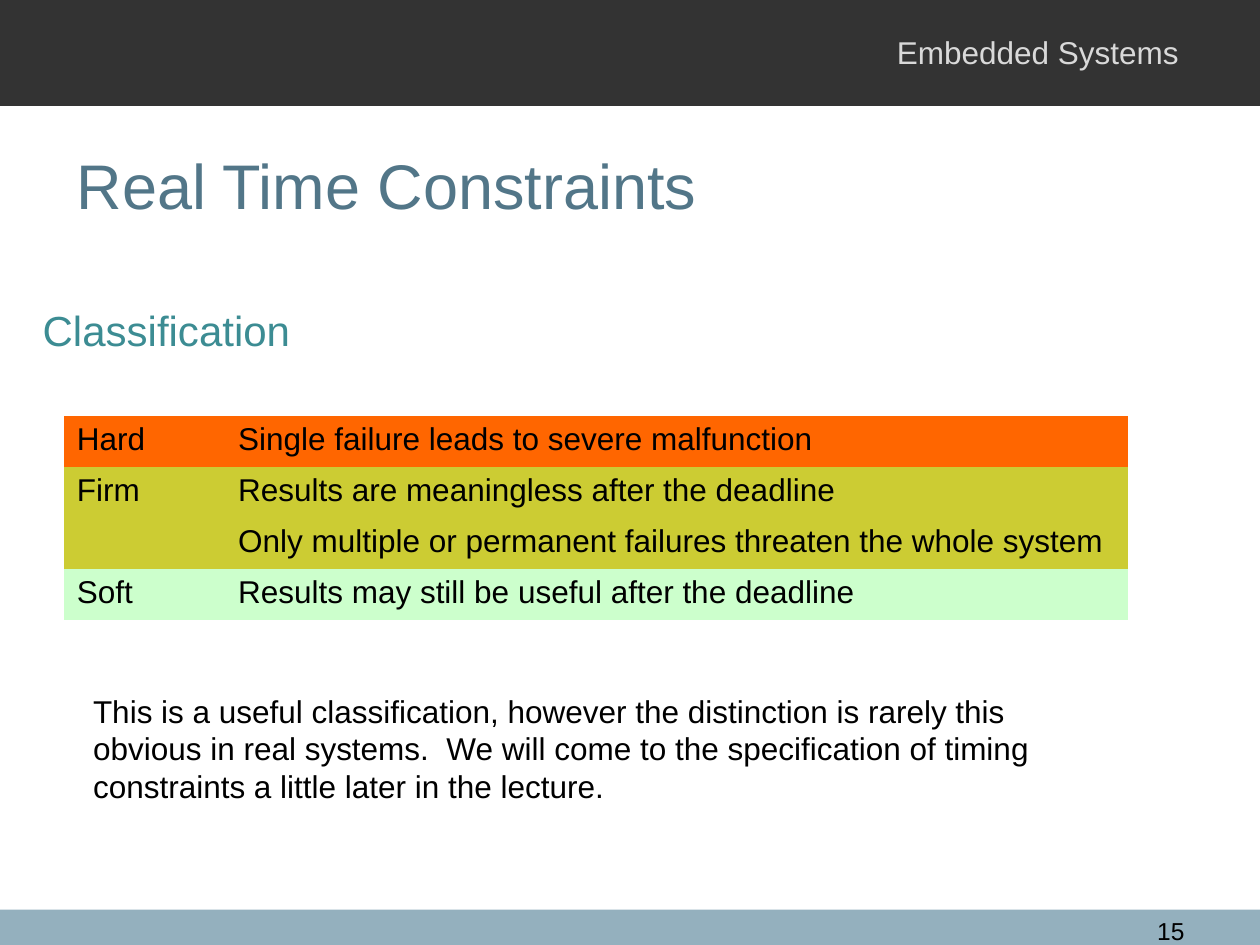
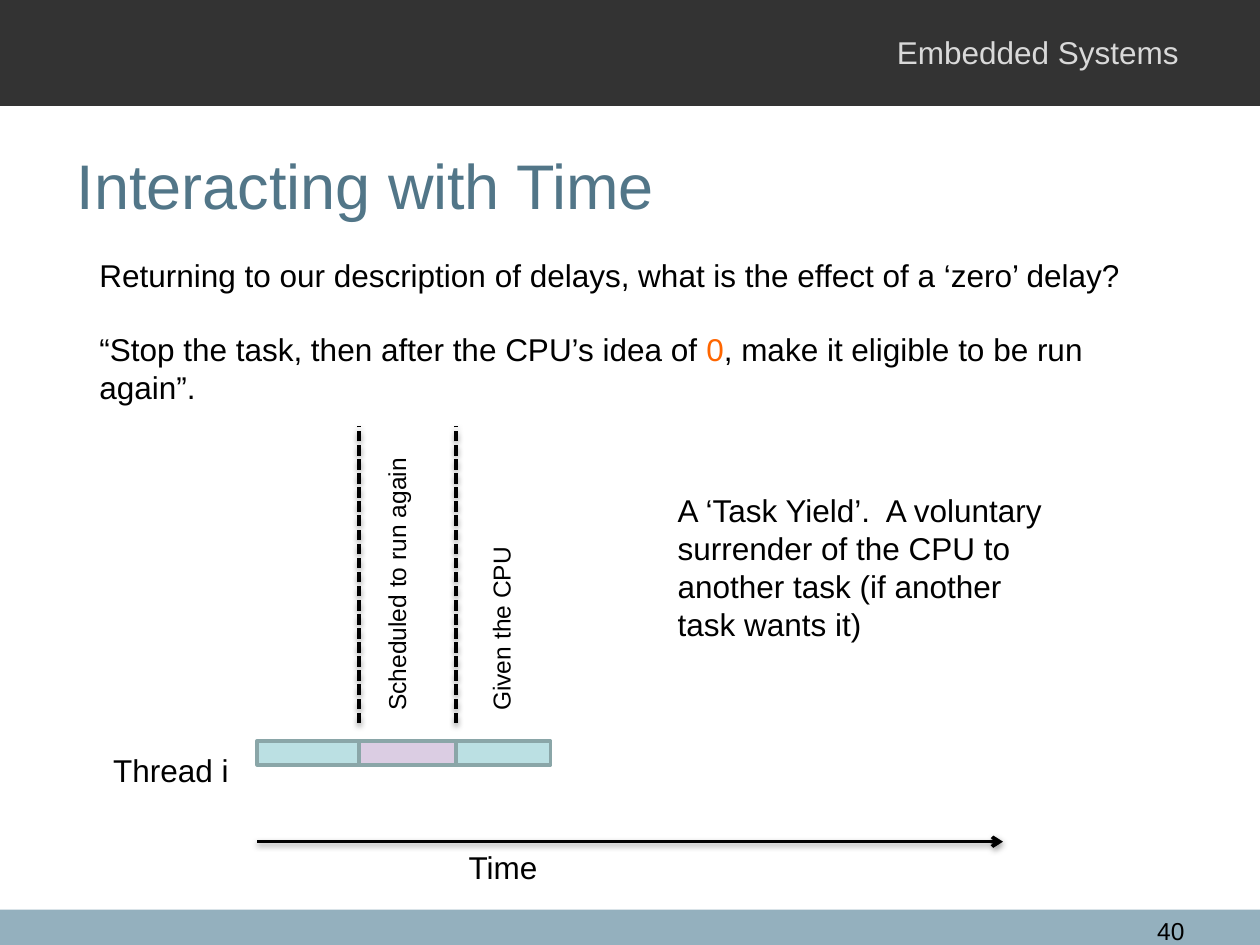
from dataclasses import dataclass

from lxml.etree import SubElement
from pptx import Presentation
from pptx.dml.color import RGBColor
from pptx.enum.dml import MSO_LINE
from pptx.enum.shapes import MSO_CONNECTOR, MSO_SHAPE
from pptx.enum.text import MSO_ANCHOR, MSO_AUTO_SIZE, PP_ALIGN
from pptx.oxml.ns import qn
from pptx.shapes.autoshape import Shape
from pptx.slide import Slide
from pptx.text.text import Font
from pptx.util import Inches, Pt

FONT = "Arial"
BLACK = RGBColor(0x00, 0x00, 0x00)
HEADER = RGBColor(0x33, 0x33, 0x33)
HEADER_TEXT = RGBColor(0xD9, 0xD9, 0xD9)
FOOTER = RGBColor(0x94, 0xB0, 0xBE)
TITLE = RGBColor(0x52, 0x76, 0x88)
SUBTITLE = RGBColor(0x3C, 0x8C, 0x93)
ORANGE = RGBColor(0xFF, 0x66, 0x00)
OLIVE = RGBColor(0xCC, 0xCC, 0x33)
MINT = RGBColor(0xCC, 0xFF, 0xCC)
RUNNING = RGBColor(0xBB, 0xE0, 0xE3)
WAITING = RGBColor(0xDB, 0xCD, 0xE3)
SEGMENT_EDGE = RGBColor(0x8A, 0xA6, 0xA8)
NO_GRID_STYLE = "{2D5ABB26-0587-4C30-8999-92F81FD0307C}"


@dataclass(frozen=True)
class Label:
    """Text with its place and style, lengths in inches."""
    text: str
    left: float
    top: float
    width: float
    height: float
    size: int = 18
    color: RGBColor = BLACK
    grow: bool = True
    wrap: bool = True
    upward: bool = False


@dataclass(frozen=True)
class Bar:
    """Filled rectangle, lengths in inches."""
    left: float
    top: float
    width: float
    height: float
    fill: RGBColor
    edge: RGBColor | None = None


@dataclass(frozen=True)
class Constraint:
    """Row of the classification table."""
    kind: str
    meaning: str
    fill: RGBColor


HEADER_BAND = Bar(0, 0, 10, 0.84, HEADER)
FOOTER_BAND = Bar(0, 7.22, 10, 0.28, FOOTER)
COURSE = Label("Embedded Systems", 7.02, 0.21, 2.5, 0.4, color=HEADER_TEXT)

CONSTRAINTS = (
    Constraint("Hard", "Single failure leads to severe malfunction", ORANGE),
    Constraint("Firm", "Results are meaningless after the deadline", OLIVE),
    Constraint("", "Only multiple or permanent failures threaten the whole system", OLIVE),
    Constraint("Soft", "Results may still be useful after the deadline", MINT),
)
CLASSIFICATION = Label("Classification", 0.24, 2.37, 8.71, 0.91, 24, SUBTITLE)
REMARK = Label(
    "This is a useful classification, however the distinction is rarely this obvious "
    "in real systems.  We will come to the specification of timing constraints "
    "a little later in the lecture.", 0.64, 5.44, 8.31, 1.01)

THREAD_START, YIELD, RESUME, THREAD_END = 2.04, 2.85, 3.62, 4.37
THREAD_TOP, THREAD_HEIGHT = 5.88, 0.19
EVENT_TOP, EVENT_BOTTOM = 3.38, 5.74
AXIS_Y, AXIS_END = 6.68, 7.96
ZERO_DELAY = Label(
    "Returning to our description of delays, what is the effect of a ‘zero’ delay?\n"
    "“Stop the task, then after the CPU’s idea of 0, make it eligible to be run again”.",
    0.69, 1.98, 8.33, 1.31)
TIMELINE_LABELS = (
    Label("Time", RESUME, AXIS_Y, 0.75, 0.4, wrap=False),
    Label("Thread i", 0.8, 5.91, 1.13, 0.4, wrap=False),
    Label("Scheduled to run again", 2.98, 3.62, 0.44, 2.12, 14, wrap=False, upward=True),
    Label("Given the CPU", 3.81, 4.33, 0.44, 1.41, 14, wrap=False, upward=True),
    Label("A ‘Task Yield’.  A voluntary surrender of the CPU to another task "
          "(if another task wants it)", 5.28, 3.85, 3.28, 1.31),
)


def style_font(font: Font, size: int, color: RGBColor) -> None:
    """Apply the deck font with a size and colour."""
    font.name = FONT
    font.size = Pt(size)
    font.color.rgb = color


def draw_label(slide: Slide, label: Label) -> Shape:
    """Draw a label as a text box."""
    box = slide.shapes.add_textbox(
        Inches(label.left), Inches(label.top), Inches(label.width), Inches(label.height))
    frame = box.text_frame
    frame.text = label.text
    frame.word_wrap = label.wrap
    frame.auto_size = MSO_AUTO_SIZE.SHAPE_TO_FIT_TEXT if label.grow else MSO_AUTO_SIZE.NONE
    if label.upward:
        box.element.txBody.bodyPr.set("vert", "vert270")
    for paragraph in frame.paragraphs:
        for run in paragraph.runs:
            style_font(run.font, label.size, label.color)
    return box


def draw_bar(slide: Slide, bar: Bar) -> None:
    """Draw a rectangle with an optional edge."""
    rectangle = slide.shapes.add_shape(
        MSO_SHAPE.RECTANGLE, Inches(bar.left), Inches(bar.top),
        Inches(bar.width), Inches(bar.height))
    rectangle.shadow.inherit = False
    rectangle.fill.solid()
    rectangle.fill.fore_color.rgb = bar.fill
    if bar.edge is None:
        rectangle.line.fill.background()
    else:
        rectangle.line.color.rgb = bar.edge
        rectangle.line.width = Pt(2)


def draw_line(slide: Slide, start: tuple[float, float], end: tuple[float, float],
              dashed: bool = False, arrow: bool = False) -> None:
    """Draw a black line with a soft shadow below it."""
    connector = slide.shapes.add_connector(
        MSO_CONNECTOR.STRAIGHT, *(Inches(length) for length in (*start, *end)))
    connector.line.color.rgb = BLACK
    connector.line.width = Pt(2)
    if dashed:
        connector.line.dash_style = MSO_LINE.SQUARE_DOT
    properties = connector.element.spPr
    if arrow:
        SubElement(properties.find(qn("a:ln")), qn("a:tailEnd"), type="arrow")
    effects = SubElement(properties, qn("a:effectLst"))
    shadow = SubElement(effects, qn("a:outerShdw"), blurRad=str(Pt(3.1)),
                        dist=str(Pt(1.6)), dir="5400000", rotWithShape="0")
    tone = SubElement(shadow, qn("a:srgbClr"), val=str(BLACK))
    SubElement(tone, qn("a:alpha"), val="38000")


def add_framed_slide(presentation: Presentation, title: str, number: int) -> Slide:
    """Add a slide with the shared bands, course name, title and number."""
    slide = presentation.slides.add_slide(presentation.slide_layouts[6])
    for band in (FOOTER_BAND, HEADER_BAND):
        draw_bar(slide, band)
    draw_label(slide, COURSE)
    heading = draw_label(slide, Label(title, 0.51, 0.84, 9, 1.25, 36, TITLE, grow=False))
    heading.text_frame.vertical_anchor = MSO_ANCHOR.MIDDLE
    page = draw_label(slide, Label(str(number), 8.86, 7.22, 0.64, 0.24, 14, grow=False))
    page.text_frame.paragraphs[0].alignment = PP_ALIGN.RIGHT
    return slide


def draw_constraints(slide: Slide) -> None:
    """Draw the table of constraint classes."""
    row_height = 0.405
    frame = slide.shapes.add_table(
        len(CONSTRAINTS), 2, Inches(0.51), Inches(3.3),
        Inches(8.43), Inches(row_height * len(CONSTRAINTS)))
    frame.element.xpath(".//a:tableStyleId")[0].text = NO_GRID_STYLE
    table = frame.table
    table.first_row = table.horz_banding = False
    for column, width in zip(table.columns, (1.28, 7.16)):
        column.width = Inches(width)
    for row, constraint in enumerate(CONSTRAINTS):
        for column, wording in enumerate((constraint.kind, constraint.meaning)):
            cell = table.cell(row, column)
            cell.text = wording
            cell.fill.solid()
            cell.fill.fore_color.rgb = constraint.fill
            style_font(cell.text_frame.paragraphs[0].font, 18, BLACK)
            for run in cell.text_frame.paragraphs[0].runs:
                style_font(run.font, 18, BLACK)
    table.cell(1, 0).merge(table.cell(2, 0))


def draw_zero_delay(slide: Slide) -> None:
    """Draw the question and its answer with the zero picked out."""
    question = draw_label(slide, ZERO_DELAY)
    answer = question.text_frame.paragraphs[1]
    answer.space_before = Pt(21)
    before, zero, after = answer.text.partition("0")
    answer.text = before
    for wording in (zero, after):
        answer.add_run().text = wording
    for run, color in zip(answer.runs, (BLACK, ORANGE, BLACK)):
        style_font(run.font, 18, color)


def draw_timeline(slide: Slide) -> None:
    """Draw the thread segments, event lines, time axis and labels."""
    for start, end, fill in ((THREAD_START, YIELD, RUNNING), (RESUME, THREAD_END, RUNNING),
                             (YIELD, RESUME, WAITING)):
        draw_bar(slide, Bar(start, THREAD_TOP, end - start, THREAD_HEIGHT, fill, SEGMENT_EDGE))
    draw_line(slide, (THREAD_START, AXIS_Y), (AXIS_END, AXIS_Y), arrow=True)
    for event in (YIELD, RESUME):
        draw_line(slide, (event, EVENT_BOTTOM), (event, EVENT_TOP), dashed=True)
    for label in TIMELINE_LABELS:
        draw_label(slide, label)


def main() -> None:
    """Build and save the slides."""
    presentation = Presentation()
    presentation.slide_width = Inches(10)
    presentation.slide_height = Inches(7.5)

    constraints = add_framed_slide(presentation, "Real Time Constraints", 15)
    draw_label(constraints, CLASSIFICATION)
    draw_constraints(constraints)
    draw_label(constraints, REMARK)

    interaction = add_framed_slide(presentation, "Interacting with Time", 40)
    draw_zero_delay(interaction)
    draw_timeline(interaction)

    presentation.save("out.pptx")


if __name__ == "__main__":
    main()
